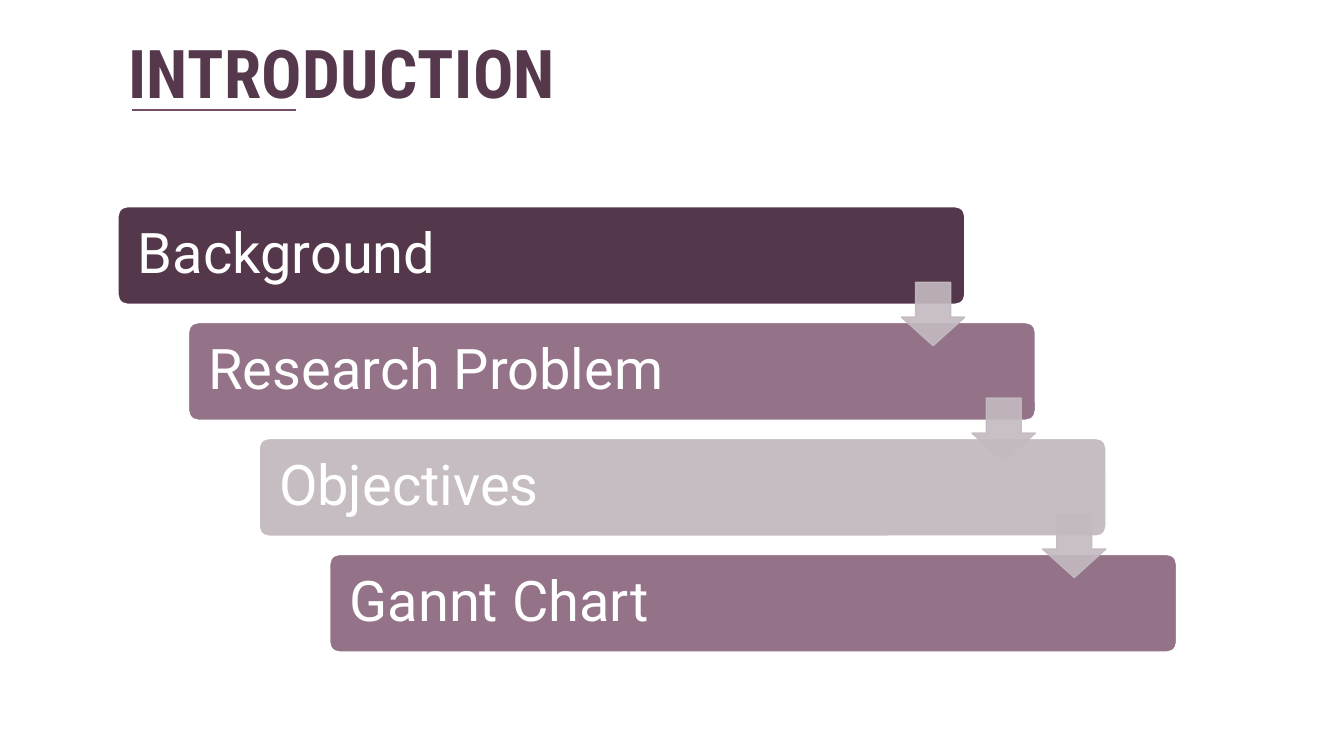
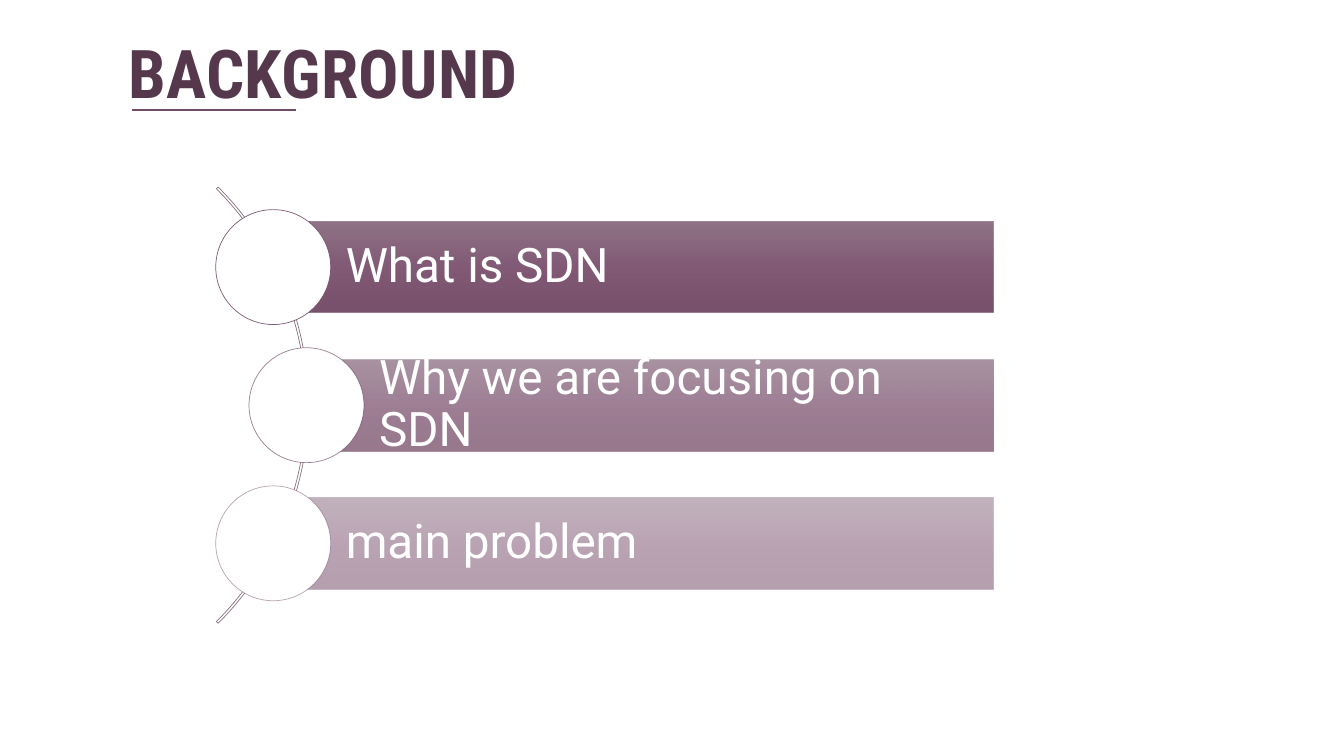
from lxml import etree
from pptx import Presentation
from pptx.dml.color import RGBColor
from pptx.enum.shapes import MSO_CONNECTOR, MSO_SHAPE
from pptx.enum.text import MSO_ANCHOR, MSO_AUTO_SIZE, PP_ALIGN
from pptx.oxml.ns import qn
from pptx.util import Inches, Pt

LEFT, MIDDLE = PP_ALIGN.LEFT, MSO_ANCHOR.MIDDLE
NO_AUTOFIT = MSO_AUTO_SIZE.NONE
STRAIGHT = MSO_CONNECTOR.STRAIGHT
RECTANGLE, ROUNDED = MSO_SHAPE.RECTANGLE, MSO_SHAPE.ROUNDED_RECTANGLE
OVAL, DOWN_ARROW, ARC = MSO_SHAPE.OVAL, MSO_SHAPE.DOWN_ARROW, MSO_SHAPE.BLOCK_ARC

COLORS = {
    "white": "FFFFFF", "title": "56384D", "accent": "734B67",
    "dark": "55374C", "medium": "947389", "light": "C5BDC2",
    "arrow": "C3BAC0", "arc": "8A7182",
    "gradient top": "85667B", "gradient middle": "754968", "gradient bottom": "6A3F5D",
}
GRADIENT = [(0, "gradient top"), (50, "gradient middle"), (100, "gradient bottom")]
TITLE_FONT, BODY_FONT = "Roboto Condensed", "Roboto"


def color(name):
    return RGBColor.from_string(COLORS[name])


def set_opacity(element, percent):
    """Give every colour inside the element the same opacity."""
    for tag in element.iter(qn("a:srgbClr")):
        etree.SubElement(tag, qn("a:alpha"), val=str(percent * 1000))


class SlideBuilder:
    def __init__(self):
        self.deck = Presentation()
        self.deck.slide_width, self.deck.slide_height = Inches(13.33), Inches(7.5)
        self.slide = None

    def start(self, title):
        """Add a slide with its title and the rule under it."""
        self.slide = self.deck.slides.add_slide(self.deck.slide_layouts[5])
        box = self.slide.shapes.title
        box.left, box.top = Inches(1.17), Inches(0.23)
        box.width, box.height = Inches(4.67), Inches(0.96)
        self.fill_text(box, title, TITLE_FONT, 48, "title")
        span = box.text_frame.paragraphs[0].runs[0]
        span.font.bold = True
        span.font._element.set("spc", "30")
        self.rule(1.31, 2.94, 1.09)

    def fill_text(self, box, text, font, size, ink):
        frame = box.text_frame
        frame.text = text
        frame.word_wrap = True
        frame.auto_size = NO_AUTOFIT
        frame.vertical_anchor = MIDDLE
        para = frame.paragraphs[0]
        para.alignment = LEFT
        style = para.runs[0].font
        style.name, style.size = font, Pt(size)
        style.color.rgb = color(ink)

    def rule(self, start, end, height):
        line = self.slide.shapes.add_connector(
            STRAIGHT, Inches(start), Inches(height), Inches(end), Inches(height))
        line.line.color.rgb = color("accent")
        line.line.width = Pt(1.5)
        etree.SubElement(line._element.spPr, qn("a:effectLst"))

    def shape(self, kind, left, top, width, height, fill=None, line=None,
              weight=1, adjust=()):
        shape = self.slide.shapes.add_shape(
            kind, Inches(left), Inches(top), Inches(width), Inches(height))
        shape.shadow.inherit = False
        for index, value in enumerate(adjust):
            shape.adjustments[index] = value
        if fill:
            shape.fill.solid()
            shape.fill.fore_color.rgb = color(fill)
        else:
            shape.fill.background()
        if line:
            shape.line.color.rgb = color(line)
            shape.line.width = Pt(weight)
        else:
            shape.line.fill.background()
        return shape

    def label(self, shape, text, size, left_inset, inset):
        self.fill_text(shape, text, BODY_FONT, size, "white")
        frame = shape.text_frame
        frame.margin_left = Inches(left_inset)
        frame.margin_top = frame.margin_right = frame.margin_bottom = Inches(inset)
        frame.paragraphs[0].line_spacing = 0.9

    def step_bar(self, text, fill, left, top, width, height):
        bar = self.shape(ROUNDED, left, top, width, height, fill, "white", adjust=[0.1])
        self.label(bar, text, 40, 0.17, 0.17)

    def arrow(self, left, top, size):
        arrow = self.shape(DOWN_ARROW, left, top, size, size, "arrow", "arrow",
                           adjust=[0.55, 0.45])
        set_opacity(arrow._element.spPr, 90)

    def gradient_bar(self, text, left, top, width, height, opacity):
        bar = self.shape(RECTANGLE, left, top, width, height)
        bar.fill.gradient()
        bar.fill.gradient_angle = 270
        stops = bar._element.spPr.find(".//" + qn("a:gsLst"))
        for stop in list(stops):
            stops.remove(stop)
        for position, tint in GRADIENT:
            stop = etree.SubElement(stops, qn("a:gs"), pos=str(position * 1000))
            etree.SubElement(stop, qn("a:srgbClr"), val=COLORS[tint])
        set_opacity(stops, opacity)
        self.label(bar, text, 34, 0.72, 0.09)

    def circle(self, center_x, center_y, size, opacity):
        circle = self.shape(OVAL, center_x - size / 2, center_y - size / 2,
                            size, size, "white", "accent", 0.5)
        set_opacity(circle._element.spPr.find(qn("a:ln")), opacity)


def add_introduction(builder):
    builder.start("INTRODUCTION")
    steps = [("Background", "dark"), ("Research Problem", "medium"),
             ("Objectives", "light"), ("Gannt Chart", "medium")]
    width, height, arrow_size = 8.4, 0.97, 0.63
    corners = [(1.17 + 0.7 * index, 2.05 + 1.15 * index) for index in range(len(steps))]
    for (text, fill), (left, top) in zip(steps, corners):
        builder.step_bar(text, fill, left, top, width, height)
    for left, top in corners[:-1]:
        builder.arrow(left + width - arrow_size, top + 0.75, arrow_size)


def add_background(builder):
    builder.start("BACKGROUND")
    middle, radius, right, height = 4.02, 3.06, 9.85, 0.91
    builder.shape(ARC, -radius, middle - radius, 2 * radius, 2 * radius,
                  line="arc", weight=0.5, adjust=[189, 27, 0.004])
    topics = [("What is SDN", 2.71, 90), ("Why we are focusing on SDN", 3.04, 70),
              ("main problem", 2.71, 50)]
    for index, (text, left, opacity) in enumerate(topics):
        center = middle + 1.37 * (index - 1)
        builder.gradient_bar(text, left, center - height / 2, right - left, height, opacity)
        builder.circle(left, center, 1.14, opacity)


def main():
    builder = SlideBuilder()
    add_introduction(builder)
    add_background(builder)
    builder.deck.save("out.pptx")


if __name__ == "__main__":
    main()
